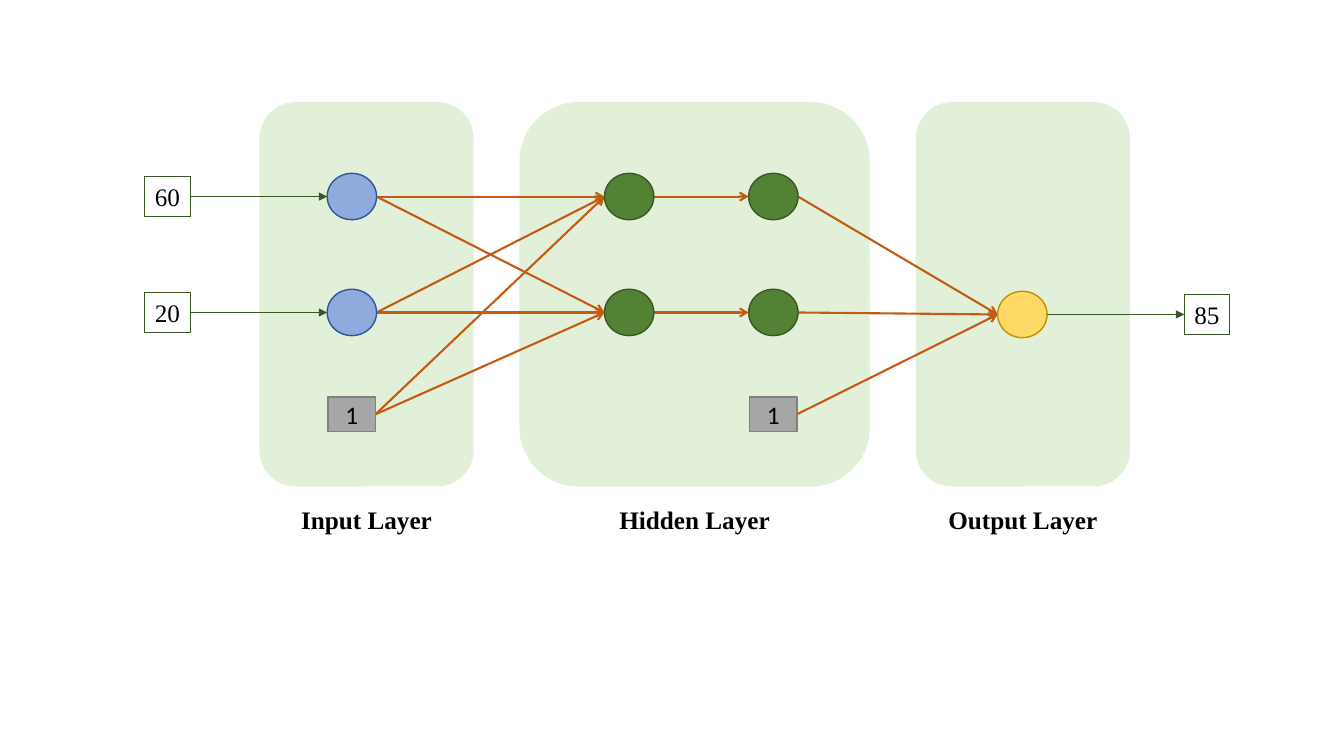
"""Draw a small feed-forward neural network with its layers, biases and values."""
import pptx
import pptx.util
import pptx.dml.color
import pptx.enum.shapes
import pptx.enum.text
import pptx.oxml
import pptx.oxml.ns

COLORS = {
    "panel": "E2F0D9", "black": "000000", "weight": "C55A11", "forest": "385723",
    "blue": "8FAADC", "navy": "2F5597", "green": "548235",
    "yellow": "FFD966", "gold": "BF9000", "gray": "A6A6A6", "slate": "808080",
}
COLUMNS = {"source": 1.66, "input": 3.49, "hidden": 6.24, "active": 7.67,
           "output": 10.14, "result": 11.97}
ROWS = {"first": 1.95, "second": 3.1, "middle": 3.12, "bias": 4.11}
PANEL_TOP, PANEL_HEIGHT = 1.02, 3.8
LABEL_TOP, LABEL_HEIGHT = 4.95, 0.4

LAYERS = [
    ("Output Layer", 9.09, 2.11),
    ("Hidden Layer", 5.16, 3.46),
    ("Input Layer", 2.58, 2.11),
]
STYLES = {
    "input": ("OVAL", 0.49, 0.46, "blue", "navy", 1, None),
    "hidden": ("OVAL", 0.49, 0.46, "green", "forest", 1, None),
    "output": ("OVAL", 0.49, 0.46, "yellow", "gold", 1, None),
    "bias": ("RECTANGLE", 0.47, 0.34, "gray", "slate", 1, "Calibri"),
    "value": ("RECTANGLE", 0.45, 0.4, None, "forest", 0.75, "Times New Roman"),
}
NODES = {
    "x1": ("input", "input", "first", ""),
    "x2": ("input", "input", "second", ""),
    "h1": ("hidden", "hidden", "first", ""),
    "h2": ("hidden", "hidden", "second", ""),
    "a1": ("hidden", "active", "first", ""),
    "a2": ("hidden", "active", "second", ""),
    "y": ("output", "output", "middle", ""),
    "b1": ("bias", "input", "bias", "1"),
    "b2": ("bias", "active", "bias", "1"),
    "v1": ("value", "source", "first", "60"),
    "v2": ("value", "source", "second", "20"),
    "v3": ("value", "result", "middle", "85"),
}
WEIGHTS = [("x1", "h1"), ("x1", "h2"), ("x2", "h2"), ("x2", "h1"), ("a1", "y"),
           ("a2", "y"), ("h1", "a1"), ("h2", "a2"), ("b1", "h1"), ("b1", "h2"),
           ("b2", "y")]
VALUES = [("v1", "x1"), ("v2", "x2"), ("y", "v3")]


def inches(*lengths):
    return [pptx.util.Inches(length) for length in lengths]


def color(name):
    return pptx.dml.color.RGBColor.from_string(COLORS[name])


def write(shape, text, font, bold=False):
    frame = shape.text_frame
    frame.word_wrap = False
    frame.vertical_anchor = pptx.enum.text.MSO_ANCHOR.MIDDLE
    para = frame.paragraphs[0]
    para.text = text
    para.alignment = pptx.enum.text.PP_ALIGN.CENTER
    para.font.name = font
    para.font.size = pptx.util.Pt(18)
    para.font.bold = bold
    para.font.color.rgb = color("black")


def add_box(page, kind, place, fill, line, weight):
    preset = getattr(pptx.enum.shapes.MSO_SHAPE, kind)
    box = page.shapes.add_shape(preset, *inches(*place))
    box.shadow.inherit = False
    if fill:
        box.fill.solid()
        box.fill.fore_color.rgb = color(fill)
    else:
        box.fill.background()
    box.line.color.rgb = color(line)
    box.line.width = pptx.util.Pt(weight)
    return box


def add_layer(page, title, left, width):
    add_box(page, "ROUNDED_RECTANGLE", (left, PANEL_TOP, width, PANEL_HEIGHT),
            "panel", "panel", 1)
    label = page.shapes.add_textbox(*inches(left, LABEL_TOP, width, LABEL_HEIGHT))
    write(label, title, "Times New Roman", bold=True)


def add_node(page, style, column, row, text):
    kind, width, height, fill, line, weight, font = STYLES[style]
    place = (COLUMNS[column] - width / 2, ROWS[row] - height / 2, width, height)
    box = add_box(page, kind, place, fill, line, weight)
    if text:
        write(box, text, font)


def side(name, direction):
    style, column, row, _ = NODES[name]
    return COLUMNS[column] + direction * STYLES[style][1] / 2, ROWS[row]


def add_arrow(page, start, end, line, weight, head):
    straight = pptx.enum.shapes.MSO_CONNECTOR.STRAIGHT
    arrow = page.shapes.add_connector(straight, *inches(*side(start, 1), *side(end, -1)))
    arrow.line.color.rgb = color(line)
    arrow.line.width = pptx.util.Pt(weight)
    namespace = pptx.oxml.ns.nsdecls("a")
    arrow.line._get_or_add_ln().append(
        pptx.oxml.parse_xml(f'<a:tailEnd {namespace} type="{head}"/>'))
    arrow._element.spPr.append(pptx.oxml.parse_xml(f"<a:effectLst {namespace}/>"))


def main():
    deck = pptx.Presentation()
    deck.slide_width, deck.slide_height = inches(13.33, 7.5)
    page = deck.slides.add_slide(deck.slide_layouts[6])
    for layer in LAYERS:
        add_layer(page, *layer)
    for start, end in WEIGHTS:
        add_arrow(page, start, end, "weight", 1.5, "arrow")
    for node in NODES.values():
        add_node(page, *node)
    for start, end in VALUES:
        add_arrow(page, start, end, "forest", 0.5, "triangle")
    deck.save("out.pptx")


if __name__ == "__main__":
    main()
